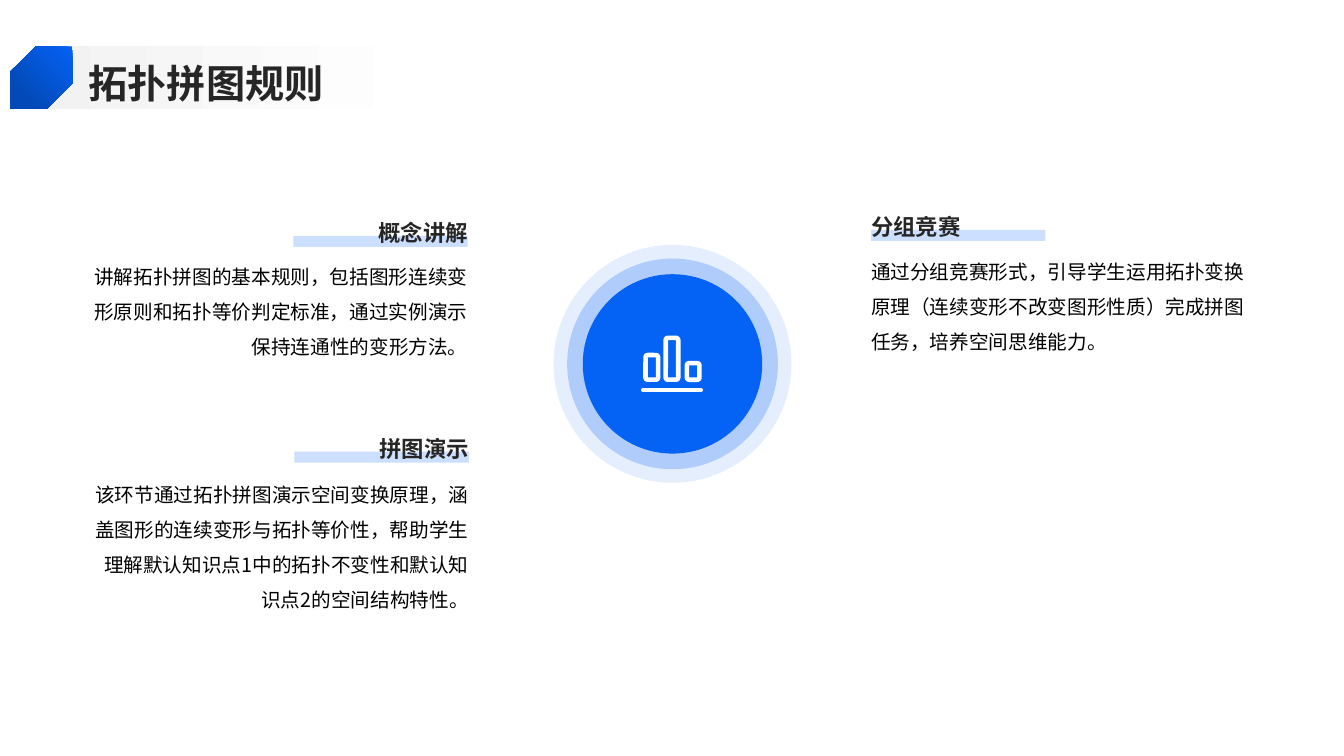
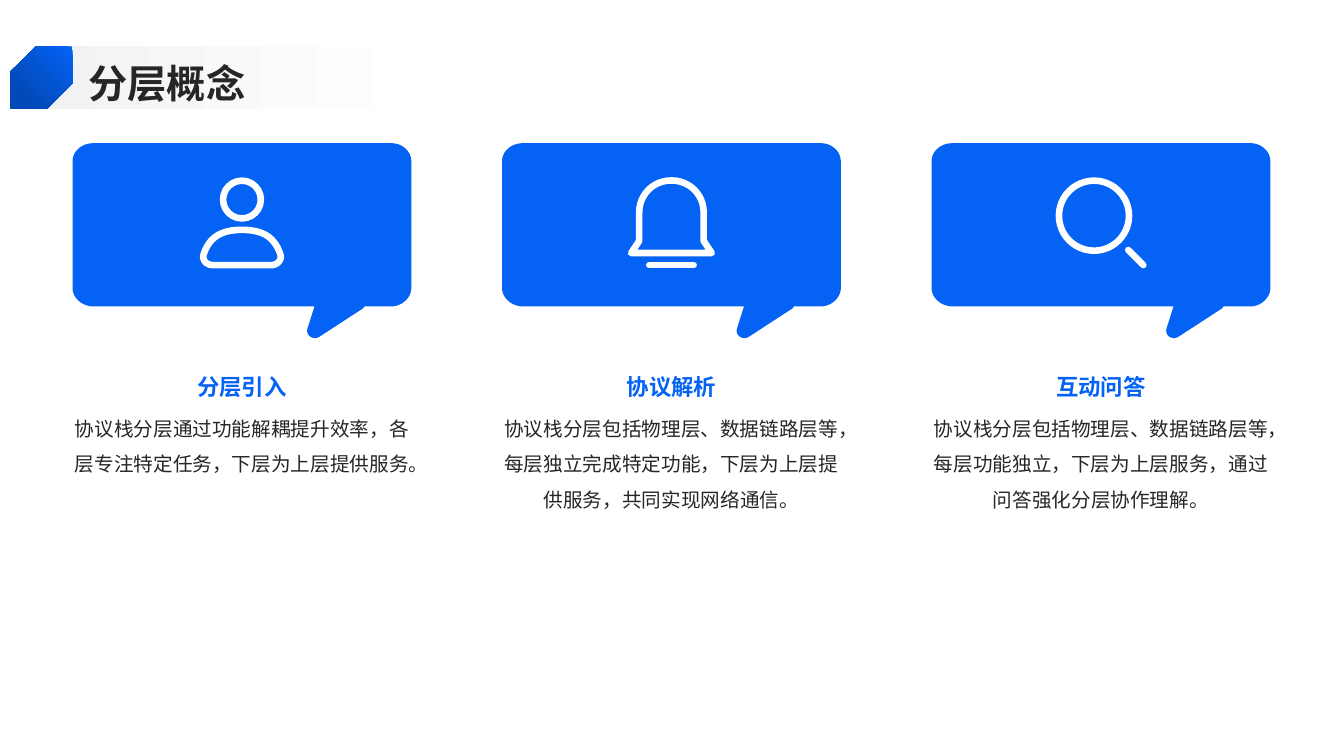
"""Build two lesson slides: puzzle rules and protocol layers."""
from dataclasses import dataclass
from typing import Callable, Optional

from lxml import etree
from pptx import Presentation
from pptx.dml.color import RGBColor
from pptx.enum.shapes import MSO_CONNECTOR, MSO_SHAPE
from pptx.enum.text import MSO_ANCHOR, MSO_AUTO_SIZE, PP_ALIGN
from pptx.oxml.ns import qn
from pptx.util import Inches, Pt

RECT = MSO_SHAPE.RECTANGLE
ROUND = MSO_SHAPE.ROUNDED_RECTANGLE
OVAL = MSO_SHAPE.OVAL
SNIP = MSO_SHAPE.SNIP_2_DIAG_RECTANGLE
STRAIGHT = MSO_CONNECTOR.STRAIGHT
TOP, MIDDLE, BOTTOM = MSO_ANCHOR.TOP, MSO_ANCHOR.MIDDLE, MSO_ANCHOR.BOTTOM
LEFT, CENTER, RIGHT = PP_ALIGN.LEFT, PP_ALIGN.CENTER, PP_ALIGN.RIGHT
NO_FIT = MSO_AUTO_SIZE.NONE

FONT = "Noto Sans CJK SC"
BLUE, NAVY, PALE = "0462F5", "034AB8", "CCDFFE"
WHITE, GREY, INK, BLACK = "FFFFFF", "F2F2F2", "262626", "000000"
CARD_LEFT, CARD_STEP, CARD_WIDTH = 0.72, 4.26, 3.36
CARD_MID = CARD_WIDTH / 2
TOPIC_WIDTH, BAR_WIDTH = 3.74, 1.73
HUB_X, HUB_Y = 6.67, 3.61
PEN, THIN = 4.7, 3.3

BUBBLE = [
    (3.16, 1.42), (0.21, 1.42), (0.09, 1.42, 0, 1.5, 0, 1.6),
    (0, 2.86), (0, 2.95, 0.09, 3.04, 0.21, 3.04),
    (2.4, 3.04), (2.33, 3.26), (2.31, 3.33, 2.39, 3.38, 2.45, 3.34),
    (2.88, 3.06), (2.89, 3.05, 2.89, 3.04, 2.9, 3.04),
    (3.16, 3.04), (3.27, 3.04, 3.36, 2.95, 3.36, 2.86),
    (3.36, 1.6), (3.36, 1.5, 3.27, 1.42, 3.16, 1.42),
]
TORSO = [
    (1.39, 2.63), (1.97, 2.63), (2.03, 2.63, 2.08, 2.58, 2.06, 2.52),
    (2.01, 2.38, 1.92, 2.28, 1.68, 2.28),
    (1.44, 2.28, 1.35, 2.38, 1.3, 2.52),
    (1.28, 2.58, 1.33, 2.63, 1.39, 2.63),
]
DOME = [
    (1.36, 2.11), (1.36, 1.93, 1.5, 1.79, 1.68, 1.79),
    (1.86, 1.79, 2, 1.93, 2, 2.11),
    (2, 2.39), (2.08, 2.51), (1.28, 2.51), (1.36, 2.39),
]


@dataclass(frozen=True)
class Style:
    """Look of a block of text."""
    size: float
    color: str
    bold: bool = False
    align: int = LEFT
    anchor: int = TOP
    space: float = 1.5


@dataclass(frozen=True)
class Topic:
    """Heading with an underline bar and a paragraph."""
    left: float
    head_top: float
    body_top: float
    align: int
    head: str
    body: str


@dataclass(frozen=True)
class Card:
    """Speech bubble with an icon, a heading and a paragraph."""
    icon: Callable
    head: str
    body: str


def rgb(code: str) -> RGBColor:
    """Turn a hex string into a colour."""
    return RGBColor.from_string(code)


def write(shape, text: str, style: Style) -> None:
    """Put one styled run into a shape."""
    frame = shape.text_frame
    frame.auto_size = NO_FIT
    frame.word_wrap = True
    frame.vertical_anchor = style.anchor
    frame.margin_left = frame.margin_right = 0
    frame.margin_top = frame.margin_bottom = 0
    para = frame.paragraphs[0]
    para.alignment = style.align
    para.line_spacing = style.space
    run = para.add_run()
    run.text = text
    run.font.size = Pt(style.size)
    run.font.bold = style.bold
    run.font.name = FONT
    run.font.color.rgb = rgb(style.color)
    props = run.font._element
    props.set("lang", "zh-CN")
    etree.SubElement(props, qn("a:ea")).set("typeface", FONT)


def label(slide, left: float, top: float, width: float, height: float,
          text: str, style: Style) -> None:
    """Add a text box."""
    box = slide.shapes.add_textbox(
        Inches(left), Inches(top), Inches(width), Inches(height))
    write(box, text, style)


def block(slide, kind: int, left: float, top: float, width: float,
          height: float, color: Optional[str] = None):
    """Add a preset shape without shadow or outline."""
    shape = slide.shapes.add_shape(
        kind, Inches(left), Inches(top), Inches(width), Inches(height))
    paint(shape, color)
    return shape


def paint(shape, color: Optional[str]) -> None:
    """Fill a shape, or leave it hollow."""
    shape.shadow.inherit = False
    shape.line.fill.background()
    if color:
        shape.fill.solid()
        shape.fill.fore_color.rgb = rgb(color)
    else:
        shape.fill.background()


def fade(shape, start: str, end: str, angle: float) -> None:
    """Give a shape a two-colour gradient."""
    shape.fill.gradient()
    shape.fill.gradient_angle = angle
    stops = shape.fill.gradient_stops
    for stop, color, place in zip(stops, (start, end), (0, 0.8)):
        stop.color.rgb = rgb(color)
        stop.position = place


def stroke(shape, width: float) -> None:
    """Draw a white outline with round ends and joins."""
    shape.line.width = Pt(width)
    shape.line.fill.solid()
    shape.line.fill.fore_color.rgb = rgb(WHITE)
    line = shape.element.spPr.find(qn("a:ln"))
    line.set("cap", "rnd")
    etree.SubElement(line, qn("a:round"))


def ring(slide, kind: int, left: float, top: float, width: float,
         height: float, pen: float) -> None:
    """Draw a hollow shape whose outline stays inside the box."""
    half = pen / 144
    shape = block(slide, kind, left + half, top + half,
                  width - 2 * half, height - 2 * half)
    stroke(shape, pen)


def dash(slide, x1: float, y1: float, x2: float, y2: float,
         pen: float) -> None:
    """Draw a white straight line."""
    line = slide.shapes.add_connector(
        STRAIGHT, Inches(x1), Inches(y1), Inches(x2), Inches(y2))
    stroke(line, pen)
    etree.SubElement(line.element.spPr, qn("a:effectLst"))


def trace(slide, left: float, path: list, color: Optional[str] = None):
    """Draw a closed outline of lines and cubic curves."""
    steps = 12
    spots = [path[0]]
    for part in path[1:]:
        if len(part) == 2:
            spots.append(part)
            continue
        knots = [spots[-1], part[:2], part[2:4], part[4:]]
        for step in range(1, steps + 1):
            t = step / steps
            u = 1 - t
            rates = (u ** 3, 3 * u * u * t, 3 * u * t * t, t ** 3)
            spots.append(tuple(
                sum(r * k[axis] for r, k in zip(rates, knots))
                for axis in (0, 1)))
    dots = [(Inches(left + x), Inches(y)) for x, y in spots]
    pen = slide.shapes.build_freeform(*dots[0])
    pen.add_line_segments(dots[1:], close=True)
    shape = pen.convert_to_shape()
    paint(shape, color)
    return shape


def person(slide, left: float) -> None:
    """Draw a head and shoulders."""
    ring(slide, OVAL, left + CARD_MID - 0.22, 1.76, 0.44, 0.44, PEN)
    stroke(trace(slide, left, TORSO), PEN)


def bell(slide, left: float) -> None:
    """Draw a bell."""
    stroke(trace(slide, left, DOME), PEN)
    mid = left + CARD_MID
    dash(slide, mid - 0.22, 2.63, mid + 0.22, 2.63, PEN)


def lens(slide, left: float) -> None:
    """Draw a magnifying glass."""
    ring(slide, OVAL, left + 1.23, 1.76, 0.76, 0.76, PEN)
    dash(slide, left + 1.95, 2.48, left + 2.1, 2.63, PEN)


def chart(slide) -> None:
    """Draw three bars on a base line."""
    for left, top in ((6.38, 3.5), (6.58, 3.33), (6.79, 3.58)):
        ring(slide, ROUND, left, top, 0.17, 3.79 - top, THIN)
    dash(slide, 6.38, 3.87, 6.95, 3.87, THIN)


def hub(slide) -> None:
    """Draw the concentric discs with the bar icon."""
    for size, alpha in ((2.36, 10), (2.09, 24), (1.78, 100)):
        disc = block(slide, OVAL, HUB_X - size / 2, HUB_Y - size / 2,
                     size, size, BLUE)
        tint = disc.element.spPr.find(".//" + qn("a:srgbClr"))
        etree.SubElement(tint, qn("a:alpha")).set("val", str(alpha * 1000))
    chart(slide)


def start(deck, text: str):
    """Add a slide with the shared title band and badge."""
    slide = deck.slides.add_slide(deck.slide_layouts[5])
    title = slide.shapes.title
    title.left, title.top = Inches(0.88), Inches(0.54)
    title.width, title.height = Inches(11.88), Inches(0.51)
    write(title, text, Style(28, INK, True, LEFT, MIDDLE, 1.1))
    band = block(slide, RECT, 0.33, 0.46, 4.92, 0.62)
    fade(band, GREY, WHITE, 0)
    title.element.addprevious(band.element)
    badge = block(slide, SNIP, 0.1, 0.46, 0.62, 0.62)
    badge.adjustments[0], badge.adjustments[1] = 0, 0.41
    badge.element.spPr.xfrm.set("flipH", "1")
    fade(badge, BLUE, NAVY, 315)
    return slide


def show_topic(slide, topic: Topic) -> None:
    """Draw one topic."""
    shift = TOPIC_WIDTH - BAR_WIDTH if topic.align == RIGHT else 0
    block(slide, RECT, topic.left + shift, topic.head_top + 0.37,
          BAR_WIDTH, 0.11, PALE)
    label(slide, topic.left, topic.head_top, TOPIC_WIDTH, 0.47, topic.head,
          Style(16, INK, True, topic.align, BOTTOM))
    label(slide, topic.left, topic.body_top, TOPIC_WIDTH, 1.51, topic.body,
          Style(14, BLACK, align=topic.align))


def show_card(slide, left: float, card: Card) -> None:
    """Draw one card."""
    trace(slide, left, BUBBLE, BLUE)
    card.icon(slide, left)
    label(slide, left, 3.49, CARD_WIDTH, 0.48, card.head,
          Style(16, BLUE, True, CENTER, BOTTOM, 1.3))
    label(slide, left, 4.02, CARD_WIDTH, 2.75, card.body,
          Style(14, INK, align=CENTER))


TOPICS = [
    Topic(0.9, 1.97, 2.51, RIGHT, "概念讲解",
          "讲解拓扑拼图的基本规则，包括图形连续变形原则和拓扑等价判定标准，"
          "通过实例演示保持连通性的变形方法。"),
    Topic(0.91, 4.11, 4.67, RIGHT, "拼图演示",
          "该环节通过拓扑拼图演示空间变换原理，涵盖图形的连续变形与拓扑等价性，"
          "帮助学生理解默认知识点1中的拓扑不变性和默认知识点2的空间结构特性。"),
    Topic(8.64, 1.91, 2.46, LEFT, "分组竞赛",
          "通过分组竞赛形式，引导学生运用拓扑变换原理（连续变形不改变图形性质）"
          "完成拼图任务，培养空间思维能力。"),
]
CARDS = [
    Card(person, "分层引入",
         "协议栈分层通过功能解耦提升效率，各层专注特定任务，下层为上层提供服务。"),
    Card(bell, "协议解析",
         "协议栈分层包括物理层、数据链路层等，每层独立完成特定功能，"
         "下层为上层提供服务，共同实现网络通信。"),
    Card(lens, "互动问答",
         "协议栈分层包括物理层、数据链路层等，每层功能独立，"
         "下层为上层服务，通过问答强化分层协作理解。"),
]


def main() -> None:
    """Build and save the deck."""
    deck = Presentation()
    deck.slide_width, deck.slide_height = Inches(13.33), Inches(7.5)
    rules = start(deck, "拓扑拼图规则")
    for topic in TOPICS:
        show_topic(rules, topic)
    hub(rules)
    layers = start(deck, "分层概念")
    for index, card in enumerate(CARDS):
        show_card(layers, CARD_LEFT + index * CARD_STEP, card)
    deck.save("out.pptx")


if __name__ == "__main__":
    main()
